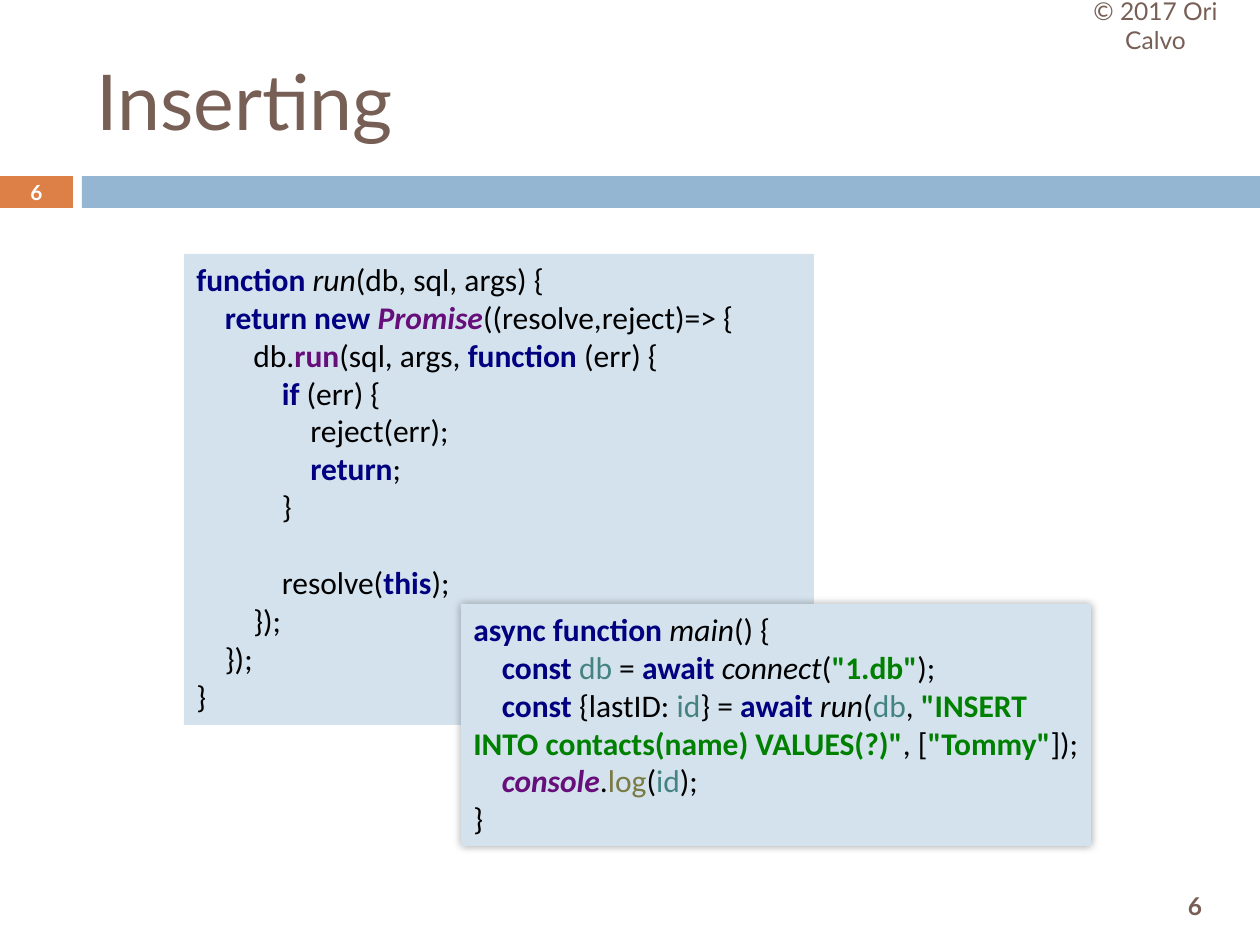
"""Builds the "Inserting" slide with two overlapping code listings."""
from lxml import etree
from pptx import Presentation, util as u
from pptx.dml.color import RGBColor
from pptx.enum import shapes, text
from pptx.oxml.ns import qn

PX = 914400 / 126
BROWN, ORANGE, BLUE, PALE, WHITE = "775F55", "DD8047", "94B6D2", "D4E2ED", "FFFFFF"
SYNTAX = {
    "plain": dict(color="000000"),
    "name": dict(color="000000", italic=True),
    "keyword": dict(color="000080", bold=True),
    "global": dict(color="660E7A", bold=True, italic=True),
    "member": dict(color="660E7A", bold=True),
    "variable": dict(color="458383"),
    "string": dict(color="008000", bold=True),
    "method": dict(color="7A7A43"),
}


def px(length):
    return u.Emu(round(length * PX))


def rgb(value):
    return RGBColor.from_string(value)


class Deck:
    heading_font, code_font, code_size = "Lato", "Calibri", 18
    indent, line_height = 28.5, 22

    def __init__(self, width, height):
        self.file = Presentation()
        self.file.slide_width, self.file.slide_height = px(width), px(height)
        self.slide = self.file.slides.add_slide(self.file.slide_layouts[6])

    def style(self, run, color, **font):
        for key, value in font.items():
            setattr(run.font, key, value)
        run.font.color.rgb = rgb(color)

    def bar(self, box, color):
        bar = self.slide.shapes.add_shape(shapes.MSO_SHAPE.RECTANGLE, *map(px, box))
        bar.shadow.inherit = False
        bar.fill.solid()
        bar.fill.fore_color.rgb = rgb(color)
        bar.line.fill.background()
        return bar

    def label(self, box, words, size, color=BROWN, align=text.PP_ALIGN.CENTER, bold=False):
        frame = self.slide.shapes.add_textbox(*map(px, box)).text_frame
        frame.word_wrap = True
        frame.vertical_anchor = text.MSO_ANCHOR.MIDDLE
        frame.paragraphs[0].alignment = align
        run = frame.paragraphs[0].add_run()
        run.text = words
        self.style(run, color, name=self.heading_font, size=u.Pt(size), bold=bold)

    def code(self, box, lines, gap_before=None, glow=False):
        panel = self.bar(box, PALE)
        if glow:
            self.glow(panel)
        frame = panel.text_frame
        frame.word_wrap = True
        frame.vertical_anchor = text.MSO_ANCHOR.TOP
        frame.auto_size = text.MSO_AUTO_SIZE.SHAPE_TO_FIT_TEXT
        for number, (level, *tokens) in enumerate(lines):
            line = frame.add_paragraph() if number else frame.paragraphs[0]
            line.alignment = text.PP_ALIGN.LEFT
            line._p.get_or_add_pPr().set("indent", str(px(level * self.indent)))
            if number == gap_before:
                line.space_before = u.Pt(self.line_height)
            for kind, words in tokens:
                run = line.add_run()
                run.text = words
                self.style(run, name=self.code_font, size=u.Pt(self.code_size), **SYNTAX[kind])

    def glow(self, panel):
        effects = panel._element.spPr.find(qn("a:effectLst"))
        shadow = etree.SubElement(effects, qn("a:outerShdw"), blurRad=str(u.Pt(5)), dist="0",
                                  algn="ctr", rotWithShape="0")
        tint = etree.SubElement(shadow, qn("a:srgbClr"), val="000000")
        etree.SubElement(tint, qn("a:alpha"), val="40000")


RUN_LISTING = [
    (0, ("keyword", "function "), ("name", "run"), ("plain", "(db, sql, args) {")),
    (1, ("keyword", "return new "), ("global", "Promise"), ("plain", "((resolve,reject)=> {")),
    (2, ("plain", "db."), ("member", "run"), ("plain", "(sql, args, "),
     ("keyword", "function "), ("plain", "(err) {")),
    (3, ("keyword", "if "), ("plain", "(err) {")),
    (4, ("plain", "reject(err);")),
    (4, ("keyword", "return"), ("plain", ";")),
    (3, ("plain", "}")),
    (3, ("plain", "resolve("), ("keyword", "this"), ("plain", ");")),
    (2, ("plain", "});")),
    (1, ("plain", "});")),
    (0, ("plain", "}")),
]
MAIN_LISTING = [
    (0, ("keyword", "async function "), ("name", "main"), ("plain", "() {")),
    (1, ("keyword", "const "), ("variable", "db "), ("plain", "= "), ("keyword", "await "),
     ("name", "connect"), ("plain", "("), ("string", '"1.db"'), ("plain", ");")),
    (1, ("keyword", "const "), ("plain", "{lastID: "), ("variable", "id"), ("plain", "} = "),
     ("keyword", "await "), ("name", "run"), ("plain", "("), ("variable", "db"), ("plain", ", "),
     ("string", '"INSERT INTO contacts(name) VALUES(?)"'), ("plain", ", ["),
     ("string", '"Tommy"'), ("plain", "]);")),
    (1, ("global", "console"), ("plain", "."), ("method", "log"), ("plain", "("),
     ("variable", "id"), ("plain", ");")),
    (0, ("plain", "}")),
]

deck = Deck(1260, 945)
deck.bar((0, 176, 73, 32), ORANGE)
deck.bar((82, 176, 1178, 32), BLUE)
deck.label((1137, 879, 116, 53), "6", 14, bold=True)
deck.label((84, 32, 1124, 136), "Inserting", 44, align=text.PP_ALIGN.LEFT)
deck.label((1051, 0, 209, 50), "© 2017 Ori Calvo", 14)
deck.label((0, 175, 73, 34), "6", 11.9, WHITE, bold=True)
deck.code((184, 254, 630, 471), RUN_LISTING, gap_before=7)
deck.code((461, 604, 630, 242), MAIN_LISTING, glow=True)
deck.file.save("out.pptx")
